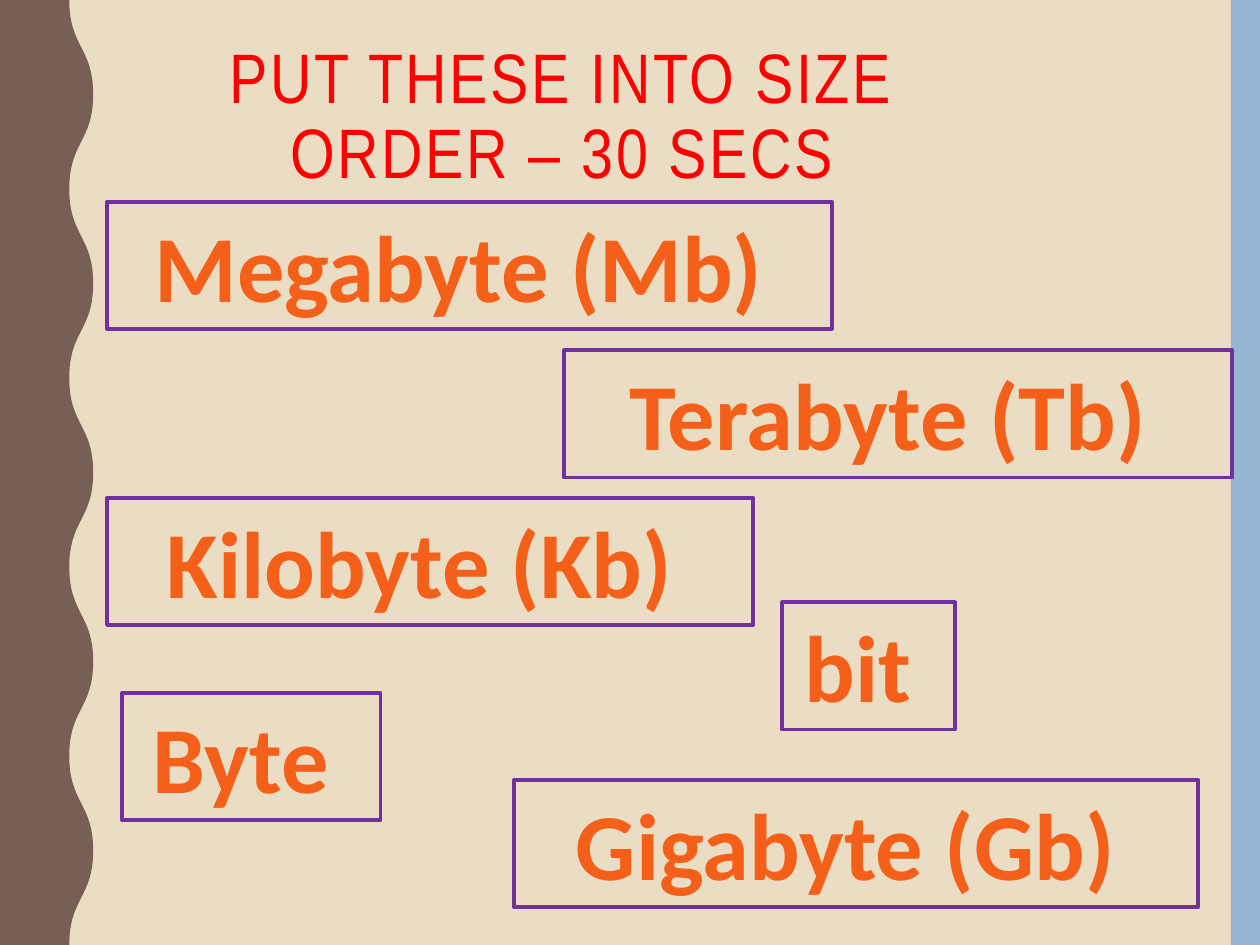
from lxml.etree import SubElement
from pptx import Presentation
from pptx.dml.color import RGBColor
from pptx.enum.shapes import MSO_SHAPE
from pptx.enum.text import MSO_ANCHOR, MSO_AUTO_SIZE, PP_ALIGN
from pptx.oxml.ns import qn
from pptx.util import Inches, Pt

THEME = {
    "sand": RGBColor.from_string("EBDDC3"),
    "brown": RGBColor.from_string("775F55"),
    "blue": RGBColor.from_string("94B6D2"),
    "red": RGBColor.from_string("FF0000"),
    "purple": RGBColor.from_string("7030A0"),
    "orange_stops": ((0, "FFA988"), (75, "F46019"), (100, "D85200")),
    "title_font": "Arial Narrow", "title_size": Pt(40), "title_spacing": 150,
    "unit_font": "Calibri", "unit_size": Pt(54), "border": Pt(2.25),
}

prs = Presentation()
prs.slide_width, prs.slide_height = Inches(10), Inches(7.5)
COL, ROW = prs.slide_width / 10, prs.slide_height / 7.5  # grid of 10 columns, 7.5 rows


def place(*cells):
    """Turn alternating columns and rows into slide lengths."""
    return [round(n * (ROW if i % 2 else COL)) for i, n in enumerate(cells)]


def paint(sp, color):
    sp.fill.solid()
    sp.fill.fore_color.rgb = color
    sp.line.fill.background()
    sp.shadow.inherit = False


s = prs.slides.add_slide(prs.slide_layouts[5])
s.background.fill.solid()
s.background.fill.fore_color.rgb = THEME["sand"]

# Side bands: straight on the right, wavy on the left
bar = s.shapes.add_shape(MSO_SHAPE.RECTANGLE, *place(9.77, 0, 0.23, 7.5))
paint(bar, THEME["blue"])

TROUGH, CREST, HALF_WAVE, HALVES = 0.55, 0.74, 0.75, 10
turns = [(CREST if i % 2 else TROUGH, i * HALF_WAVE) for i in range(HALVES + 1)]
builder = s.shapes.build_freeform(*place(*turns[0]))
builder.add_line_segments([place(*pt) for pt in turns[1:] + [(0, 7.5), (0, 0)]])
wave = builder.convert_to_shape()
paint(wave, THEME["brown"])

# Bend each side of the wave into an S-curve between its two turns
sides = list(wave._element.iter(qn("a:lnTo")))[:HALVES]
for side, (x0, y0), (x1, y1) in zip(sides, turns, turns[1:]):
    side.tag = qn("a:cubicBezTo")
    side.remove(side[0])
    middle = (y0 + y1) / 2
    for point in ((x0, middle), (x1, middle), (x1, y1)):
        x, y = place(*point)
        SubElement(side, qn("a:pt"), x=str(x), y=str(y))

# Title
title = s.shapes.title
title.left, title.top, title.width, title.height = place(0.85, 0.29, 7.22, 1.05)
tf = title.text_frame
tf.text = "PUT THESE INTO SIZE ORDER – 30 SECS"
tf.word_wrap = True
tf.auto_size = MSO_AUTO_SIZE.NONE
tf.vertical_anchor = MSO_ANCHOR.TOP
p = tf.paragraphs[0]
p.alignment = PP_ALIGN.CENTER
p.line_spacing = 0.9
r = p.runs[0]
r.font.name, r.font.size = THEME["title_font"], THEME["title_size"]
r.font.color.rgb = THEME["red"]
r.font._element.set("spc", str(THEME["title_spacing"]))

# Units to be sorted: text, left, top, width
UNITS = [
    ("bit ", 6.21, 4.78, 1.37),
    ("Byte ", 0.97, 5.5, 2.05),
    ("Kilobyte (Kb) ", 0.85, 3.95, 5.13),
    ("Megabyte (Mb) ", 0.85, 1.6, 5.75),
    ("Gigabyte (Gb) ", 4.08, 6.19, 5.43),
    ("Terabyte (Tb) ", 4.48, 2.78, 5.3),
]
for text, left, top, width in UNITS:
    sp = s.shapes.add_shape(MSO_SHAPE.RECTANGLE, *place(left, top, width, 1.01))
    sp.fill.background()
    sp.line.color.rgb = THEME["purple"]
    sp.line.width = THEME["border"]
    sp.shadow.inherit = False
    tf = sp.text_frame
    tf.text = text
    tf.word_wrap = False
    tf.auto_size = MSO_AUTO_SIZE.SHAPE_TO_FIT_TEXT
    tf.vertical_anchor = MSO_ANCHOR.TOP
    p = tf.paragraphs[0]
    p.alignment = PP_ALIGN.CENTER
    font = p.runs[0].font
    font.name, font.size, font.bold = THEME["unit_font"], THEME["unit_size"], True
    # Orange shading from light at the top to dark at the bottom
    font.fill.gradient()
    grad = font._element.find(qn("a:gradFill"))
    for child in list(grad):
        grad.remove(child)
    stops = SubElement(grad, qn("a:gsLst"))
    for share, color in THEME["orange_stops"]:
        stop = SubElement(stops, qn("a:gs"), pos=str(share * 1000))
        SubElement(stop, qn("a:srgbClr"), val=color)
    SubElement(grad, qn("a:lin"), ang="5400000")

prs.save("out.pptx")
